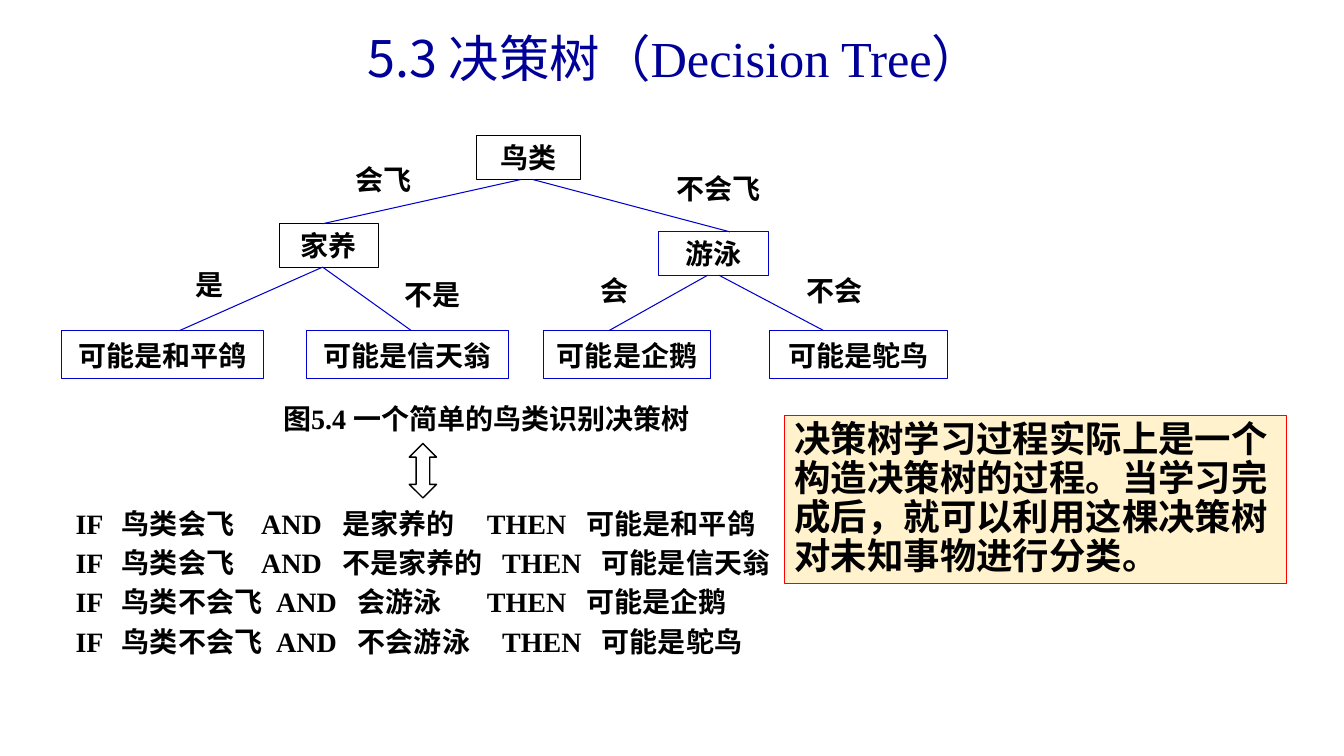
from lxml import etree
from pptx import Presentation, util as u
from pptx.dml.color import RGBColor
from pptx.enum import shapes, text
from pptx.oxml.ns import qn

WIDTH, HEIGHT = 13.33, 7.5
LATIN, HAN = "Times New Roman", "Noto Sans CJK SC"
BLACK, BLUE, NAVY, RED, CREAM = "000000", "0000CC", "000099", "FF0000", "FFF2CC"


def colour(value):
    return RGBColor.from_string(value)


def inches(*lengths):
    return [u.Inches(length) for length in lengths]


def style_span(span, size=20, ink=BLACK, bold=True, latin=LATIN):
    span.font.size, span.font.bold, span.font.name = u.Pt(size), bold, latin
    span.font.color.rgb = colour(ink)
    east_asian = etree.Element(qn("a:ea"), typeface=HAN)
    span.font._element.find(qn("a:latin")).addnext(east_asian)


def write(shape, lines, align=text.PP_ALIGN.LEFT, anchor=text.MSO_ANCHOR.TOP,
          margins=(0.1, 0.05), wrap=True, size=20, leading=None):
    frame = shape.text_frame
    frame.text = "\n".join(lines)
    frame.word_wrap, frame.vertical_anchor = wrap, anchor
    frame.margin_left, frame.margin_top = inches(*margins)
    frame.margin_right, frame.margin_bottom = inches(*margins)
    for para in frame.paragraphs:
        para.alignment = align
        if leading:
            para.line_spacing = u.Pt(leading)
        for span in para.runs:
            style_span(span, size)


def add_outlined(page, kind, box, line, width=0.75, fill=None):
    shape = page.shapes.add_shape(kind, *inches(*box))
    shape.shadow.inherit = False
    shape.line.color.rgb, shape.line.width = colour(line), u.Pt(width)
    if fill:
        shape.fill.solid()
        shape.fill.fore_color.rgb = colour(fill)
    else:
        shape.fill.background()
    return shape


def add_title(page, box):
    title = page.shapes.title
    title.left, title.top, title.width, title.height = inches(*box)
    frame = title.text_frame
    frame.vertical_anchor = text.MSO_ANCHOR.MIDDLE
    frame.auto_size = text.MSO_AUTO_SIZE.NONE
    para = frame.paragraphs[0]
    para.alignment = text.PP_ALIGN.CENTER
    for words, font in (("5.3 决策树（", HAN), ("Decision Tree", LATIN), ("）", HAN)):
        span = para.add_run()
        span.text = words
        style_span(span, 36, NAVY, False, font)


def add_tree(page, box):
    left, top, _, _ = box
    # Nodes: left, top, width, height within the tree, outline
    leaf_top, leaf_height = 1.94, 0.48
    nodes = {
        "鸟类": (4.12, 0, 1.03, 0.44, BLACK),
        "家养": (2.16, 0.88, 0.98, 0.43, BLACK),
        "游泳": (5.92, 0.96, 1.09, 0.43, BLUE),
        "可能是和平鸽": (0, leaf_top, 2, leaf_height, BLUE),
        "可能是信天翁": (2.43, leaf_top, 2, leaf_height, BLUE),
        "可能是企鹅": (4.78, leaf_top, 1.66, leaf_height, BLUE),
        "可能是鸵鸟": (7.02, leaf_top, 1.77, leaf_height, BLUE),
    }
    # Branches: parent, child, line start and end, answer, its left, top, width
    branches = [
        ("鸟类", "家养", 4.56, 2.59, "会飞", 2.76, 0.26, 0.87),
        ("鸟类", "游泳", 4.67, 6.63, "不会飞", 5.97, 0.35, 1.09),
        ("家养", "可能是和平鸽", 2.59, 1.17, "是", 1.17, 1.31, 0.6),
        ("家养", "可能是信天翁", 2.59, 3.47, "不是", 3.25, 1.4, 0.87),
        ("游泳", "可能是企鹅", 6.41, 5.43, "会", 5.16, 1.36, 0.65),
        ("游泳", "可能是鸵鸟", 6.52, 7.56, "不会", 7.23, 1.36, 0.87),
    ]
    centred = dict(align=text.PP_ALIGN.CENTER, anchor=text.MSO_ANCHOR.MIDDLE,
                   margins=(0.06, 0.01), wrap=False)
    for name, (x, y, width, height, line) in nodes.items():
        node = add_outlined(page, shapes.MSO_SHAPE.RECTANGLE,
                            (left + x, top + y, width, height), line)
        write(node, [name], **centred)
    for parent, child, start, end, answer, x, y, width in branches:
        parent_bottom = nodes[parent][1] + nodes[parent][3]
        branch = page.shapes.add_connector(
            shapes.MSO_CONNECTOR.STRAIGHT,
            *inches(left + start, top + parent_bottom, left + end, top + nodes[child][1]))
        branch.line.color.rgb, branch.line.width = colour(BLUE), u.Pt(0.75)
        etree.SubElement(branch._element.spPr, qn("a:effectLst"))
        label = page.shapes.add_textbox(*inches(left + x, top + y, width, 0.35))
        write(label, [answer], **centred)


def add_caption(page, box):
    left, top, width, height = box
    caption = page.shapes.add_textbox(*inches(left, top, width, height))
    write(caption, ["图5.4 一个简单的鸟类识别决策树"])
    # Double arrow leading from the tree to its rules
    add_outlined(page, shapes.MSO_SHAPE.UP_DOWN_ARROW,
                 (left + 1.35, top + 0.47, 0.27, 0.54), BLACK, 1)


def add_rules(page, box):
    # Subject, condition, result, then the shifts of AND and of THEN
    rules = [
        ("鸟类会飞", "是家养的", "可能是和平鸽", 0, 0),
        ("鸟类会飞", "不是家养的", "可能是信天翁", 0, 0.15),
        ("鸟类不会飞", "会游泳", "可能是企鹅", 0.15, 0),
        ("鸟类不会飞", "不会游泳", "可能是鸵鸟", 0.15, 0.15),
    ]
    lines = [f"IF\t{subject}\tAND\t{condition}\tTHEN\t{result}"
             for subject, condition, result, _, _ in rules]
    area = page.shapes.add_textbox(*inches(*box))
    write(area, lines, margins=(0.17, 0.05), wrap=False, leading=28)
    for para, (*_, and_shift, then_shift) in zip(area.text_frame.paragraphs, rules):
        stops = (0.46, 1.84 + and_shift, 2.65 + and_shift,
                 4.08 + then_shift, 5.07 + then_shift)
        tabs = etree.SubElement(para._p.get_or_add_pPr(), qn("a:tabLst"))
        for stop in stops:
            etree.SubElement(tabs, qn("a:tab"), pos=str(u.Inches(stop)), algn="l")


def add_conclusion(page, box):
    panel = add_outlined(page, shapes.MSO_SHAPE.RECTANGLE, box, RED, fill=CREAM)
    write(panel, ["决策树学习过程实际上是一个构造决策树的过程。当学习完成后，"
                  "就可以利用这棵决策树对未知事物进行分类。"], size=26, leading=28)


def main():
    deck = Presentation()
    deck.slide_width, deck.slide_height = inches(WIDTH, HEIGHT)
    page = deck.slides.add_slide(deck.slide_layouts[5])
    add_title(page, (0.58, 0.21, 12.23, 0.71))
    add_tree(page, (0.61, 1.34, 8.79, 2.42))
    add_caption(page, (2.71, 3.93, 4.8, 0.48))
    add_rules(page, (0.58, 4.92, 7.23, 1.67))
    add_conclusion(page, (7.78, 4.12, 4.98, 1.67))
    deck.save("out.pptx")


if __name__ == "__main__":
    main()
